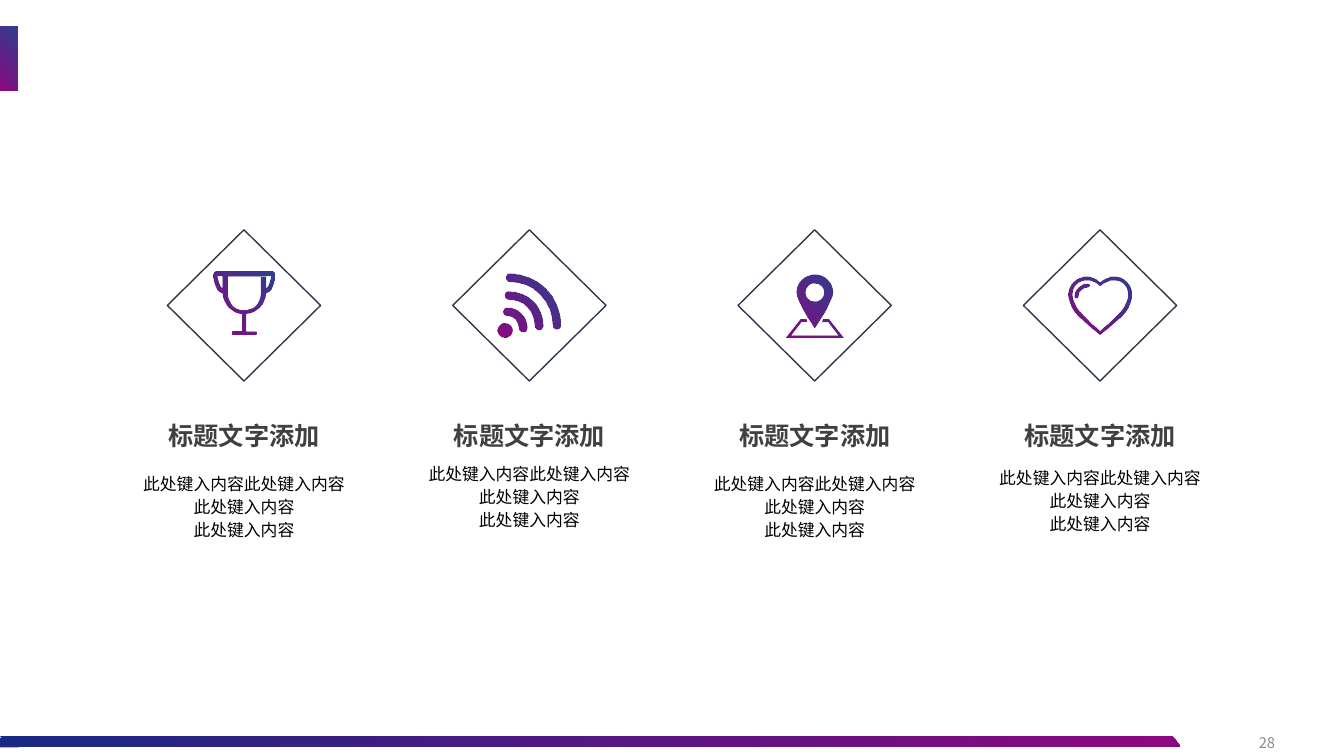
from dataclasses import dataclass
from itertools import pairwise
from math import cos, radians, sin

from lxml import etree
from pptx import Presentation
from pptx.dml.color import RGBColor
from pptx.enum.shapes import MSO_SHAPE
from pptx.enum.text import MSO_ANCHOR, MSO_AUTO_SIZE, PP_ALIGN
from pptx.oxml.ns import qn
from pptx.util import Inches, Pt

DIAMOND, RECT, PARALLELOGRAM = MSO_SHAPE.DIAMOND, MSO_SHAPE.RECTANGLE, MSO_SHAPE.PARALLELOGRAM
CENTER, RIGHT = PP_ALIGN.CENTER, PP_ALIGN.RIGHT
TOP, MIDDLE = MSO_ANCHOR.TOP, MSO_ANCHOR.MIDDLE
FIT_SHAPE, NO_FIT = MSO_AUTO_SIZE.SHAPE_TO_FIT_TEXT, MSO_AUTO_SIZE.NONE

Point = tuple[float, float]
Step = tuple[Point, ...]  # one point for a line, three for a cubic curve
Contour = list[Step]


@dataclass(frozen=True)
class Style:
    size: float
    color: str
    bold: bool = False
    spacing: float = 1.0
    align: PP_ALIGN = CENTER
    anchor: MSO_ANCHOR = TOP
    fit: MSO_AUTO_SIZE = FIT_SHAPE


@dataclass(frozen=True)
class Theme:
    font: str = "Noto Sans CJK SC"
    blue: str = "182983"
    purple: str = "8D0780"
    outline: str = "2D3848"
    heading: Style = Style(18, "404040", bold=True, spacing=1.2)
    body: Style = Style(12, "000000", spacing=1.14)
    page: Style = Style(10.5, "8C8C8C", align=RIGHT, anchor=MIDDLE, fit=NO_FIT)


@dataclass(frozen=True)
class Box:
    """Left, top, width and height in grid cells."""
    x: float
    y: float
    w: float
    h: float

    def emu(self) -> list[int]:
        return [cells(v) for v in (self.x, self.y, self.w, self.h)]


@dataclass(frozen=True)
class Feature:
    icon: list[Contour]
    body_row: float


THEME = Theme()
CELL = Inches(0.1)
FIRST_COLUMN, COLUMN_STEP, ICON_ROW = 24.2, 28.3, 30.3
HEADING = "标题文字添加"
BODY = ["此处键入内容此处键入内容", "此处键入内容", "此处键入内容"]


def cells(count: float) -> int:
    return round(count * CELL)


def arc(cx: float, cy: float, r: float, start: int, end: int) -> Contour:
    """Arc in quarter turns, each a cubic curve."""
    turn = 90 if end > start else -90
    pull = 0.55 * r * turn / 90

    def at(angle: int, along: float = 0) -> Point:
        a = radians(angle)
        return cx + r * cos(a) - along * sin(a), cy + r * sin(a) + along * cos(a)

    return [(at(start),)] + [(at(a, pull), at(a + turn, -pull), at(a + turn))
                             for a in range(start, end, turn)]


def band(cx: float, cy: float, r: float, half: float, start: int) -> Contour:
    """Quarter ring with round ends, running clockwise from start."""
    end = start + 90
    tail, head = (step[-1] for step in arc(cx, cy, r, start, end))
    return (arc(cx, cy, r + half, start, end) + arc(*head, half, end, end + 180)[1:]
            + arc(cx, cy, r - half, end, start)[1:]
            + arc(*tail, half, start + 180, start + 360)[1:])


def trace(path: str) -> Contour:
    """Read M, L and C commands."""
    tokens = iter(path.split())
    return [tuple((float(next(tokens)), float(next(tokens)))
                  for _ in range(3 if command == "C" else 1)) for command in tokens]


def flip(contour: Contour) -> Contour:
    """Mirror left to right and run backwards."""
    back = [contour[-1][-1:]] + [(*reversed(step[:-1]), before[-1])
                                 for before, step in reversed(list(pairwise(contour)))]
    return [tuple((-x, y) for x, y in step) for step in back]


def symmetric(path: str) -> Contour:
    """Join a left half to its mirror image, sharing a point on the axis."""
    half = trace(path)
    on_axis = half[-1][-1][0] == 0
    return half + flip(half)[on_axis:]


HANDLE = trace("M -2.1 -1.7 C -2.4 -1.9 -2.5 -2.6 -2.6 -2.9 L -2.1 -2.9")
TROPHY = [
    symmetric("M -2.8 -3.4 C -2.9 -3.4 -3 -3.3 -3 -3.1 C -3 -3.1 -3 -1.4 -2.1 -1.2 "
              "C -2 -0.1 -1.2 0.7 -0.2 0.8 L -0.2 2.5 L -1 2.5 C -1.1 2.5 -1.2 2.5 -1.2 2.6 "
              "L -1.2 2.8 C -1.2 2.9 -1.1 2.9 -1 2.9"),
    symmetric("M -1.6 -2.9 L -1.6 -1.2 C -1.6 -0.3 -0.9 0.4 0 0.4"),
    HANDLE, flip(HANDLE),
]
SIGNAL = [
    arc(-2.4, 2.4, 0.75, 0, 360),
    band(-2.15, 2.15, 1.55, 0.42, -90),
    band(-2, 1.95, 2.95, 0.42, -90),
    band(-1.9, 1.9, 4.6, 0.42, -90),
]
MAP_PIN = [
    symmetric("M -2.3 2.9 L -1.3 1.6 L -0.7 1.6 L -0.8 1.3 L -1.4 1.3 L -2.9 3.2"),
    symmetric("M 0 -3.1 C -1 -3.1 -1.8 -2.3 -1.8 -1.3 C -1.8 -0.4 0 2.2 0 2.2"),
    arc(0, -1.3, 0.9, 0, 360),
]
HEART = [
    symmetric("M 0 -2.3 C -0.4 -2.7 -0.8 -2.9 -1.3 -2.9 C -2.3 -2.9 -3.1 -2.1 -3.1 -1.1 "
              "C -3.1 -0.5 -2.9 0 -2.4 0.7 C -2 1.2 -1.4 1.7 -0.6 2.4 L 0 2.9"),
    symmetric("M 0 -1.9 C -0.4 -2.3 -0.8 -2.5 -1.3 -2.5 C -2.1 -2.5 -2.7 -1.9 -2.7 -1.1 "
              "C -2.7 -0.1 -1.9 0.8 -0.3 2.2 L 0 2.5"),
    band(-1.2, -0.9, 1.1, 0.2, 180),
]
FEATURES = [Feature(TROPHY, 46.2), Feature(SIGNAL, 45.25),
            Feature(MAP_PIN, 46.2), Feature(HEART, 45.6)]


def paint(sp, angle: int, alpha: int = 100) -> None:
    """Blue to purple fill; alpha is the opacity of the blue end in percent."""
    sp.shadow.inherit = False
    sp.line.fill.background()
    sp.fill.gradient()
    sp.fill.gradient_angle = angle
    for stop, color in zip(sp.fill.gradient_stops, (THEME.blue, THEME.purple)):
        stop.color.rgb = RGBColor.from_string(color)
    if alpha < 100:
        blue = next(sp._element.spPr.iter(qn("a:srgbClr")))
        etree.SubElement(blue, qn("a:alpha"), val=str(alpha * 1000))


def add_text(slide, box: Box, lines: list[str], style: Style) -> None:
    tf = slide.shapes.add_textbox(*box.emu()).text_frame
    tf.word_wrap, tf.auto_size, tf.vertical_anchor = True, style.fit, style.anchor
    tf.text = "\n".join(lines)
    for p in tf.paragraphs:
        p.alignment, p.line_spacing = style.align, style.spacing
        p.font.size, p.font.bold, p.font.name = Pt(style.size), style.bold, THEME.font
        p.font.color.rgb = RGBColor.from_string(style.color)
        etree.SubElement(p._p.pPr.find(qn("a:defRPr")), qn("a:ea"), typeface=THEME.font)


def add_icon(slide, contours: list[Contour], cx: float, cy: float) -> None:
    placed = [[[(cells(cx + x), cells(cy + y)) for x, y in step] for step in c]
              for c in contours]
    first, *others = placed
    builder = slide.shapes.build_freeform(*first[0][-1])
    builder.add_line_segments([step[-1] for step in first[1:]])
    for contour in others:
        builder.move_to(*contour[0][-1])
        builder.add_line_segments([step[-1] for step in contour[1:]])
    sp = builder.convert_to_shape()
    lines = list(sp._element.spPr.iter(qn("a:lnTo")))
    for line, step in zip(lines, (s for c in placed for s in c[1:])):
        for i, (x, y) in enumerate(step[:-1]):
            line.tag = qn("a:cubicBezTo")
            line.insert(i, etree.Element(qn("a:pt"), x=str(x - sp.left), y=str(y - sp.top)))
    paint(sp, 225, 90)


def add_frame(slide) -> None:
    """Corner tab, bottom bar and page number."""
    paint(slide.shapes.add_shape(RECT, *Box(0, 2.65, 1.75, 6.3).emu()), 225, 90)
    add_text(slide, Box(97.45, 71.65, 30, 4), ["28"], THEME.page)
    bar = slide.shapes.add_shape(PARALLELOGRAM, *Box(0, 73, 117.1, 1.1).emu())
    bar.adjustments[0] = 0.78
    bar._element.spPr.xfrm.set("flipH", "1")
    paint(bar, 180)
    sp = slide.shapes.add_shape(RECT, *Box(0, 73.2, 1.9, 0.95).emu())
    sp.shadow.inherit = False
    sp.line.fill.background()
    sp.fill.solid()
    sp.fill.fore_color.rgb = RGBColor.from_string(THEME.blue)


def add_feature(slide, feature: Feature, cx: float) -> None:
    sp = slide.shapes.add_shape(DIAMOND, *Box(cx - 7.5, ICON_ROW - 7.6, 15, 15.2).emu())
    sp.rotation = 270
    sp.shadow.inherit = False
    sp.fill.background()
    sp.line.color.rgb = RGBColor.from_string(THEME.outline)
    sp.line.width = Pt(1)
    add_icon(slide, feature.icon, cx, ICON_ROW)
    add_text(slide, Box(cx - 11.33, 40.6, 22.7, 4.3), [HEADING], THEME.heading)
    add_text(slide, Box(cx - 13.1, feature.body_row, 26.2, 10.2), BODY, THEME.body)


prs = Presentation()
prs.slide_width, prs.slide_height = Inches(13.33), Inches(7.5)
slide = prs.slides.add_slide(prs.slide_layouts[6])
add_frame(slide)
for i, feature in enumerate(FEATURES):
    add_feature(slide, feature, FIRST_COLUMN + i * COLUMN_STEP)
prs.save("out.pptx")
